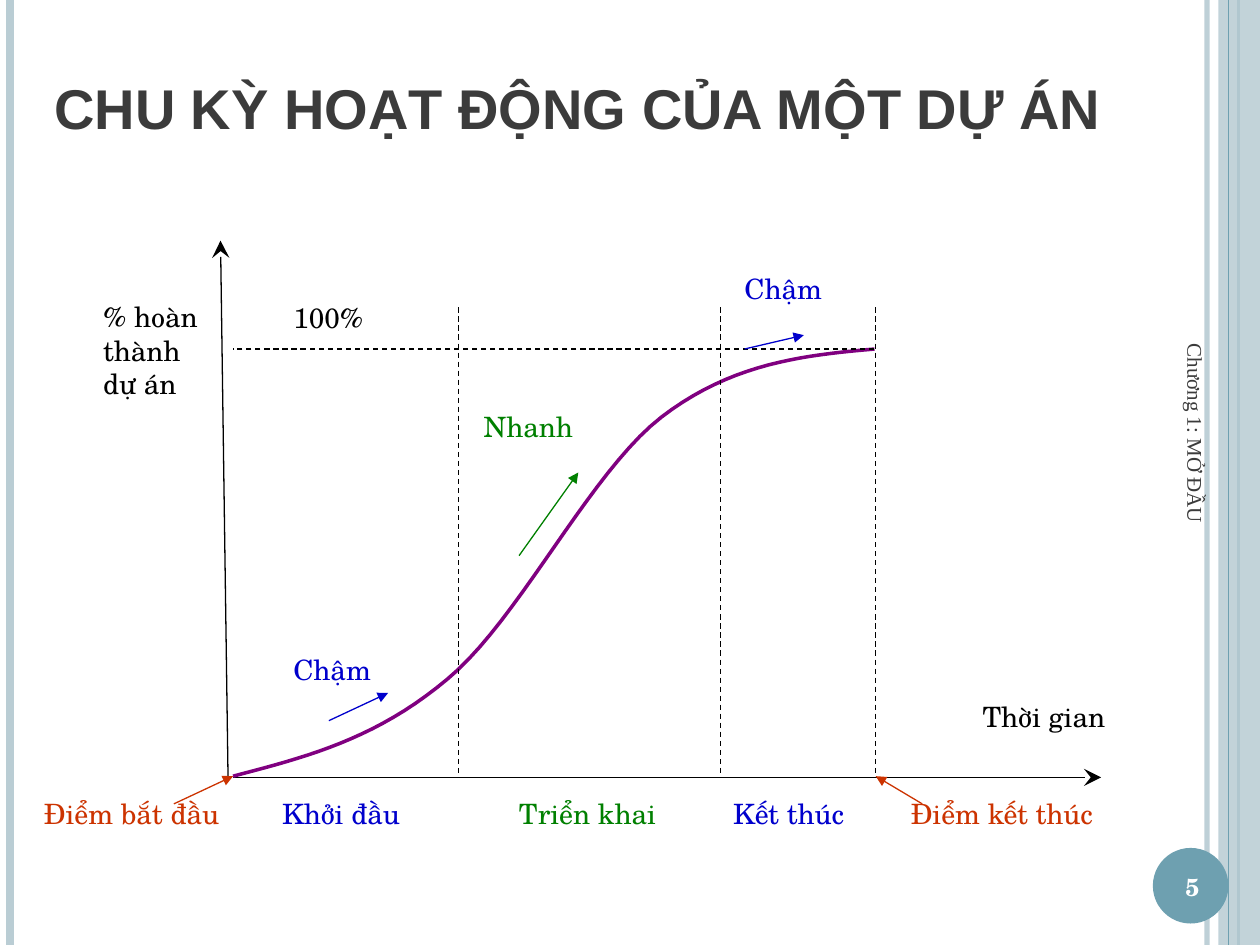
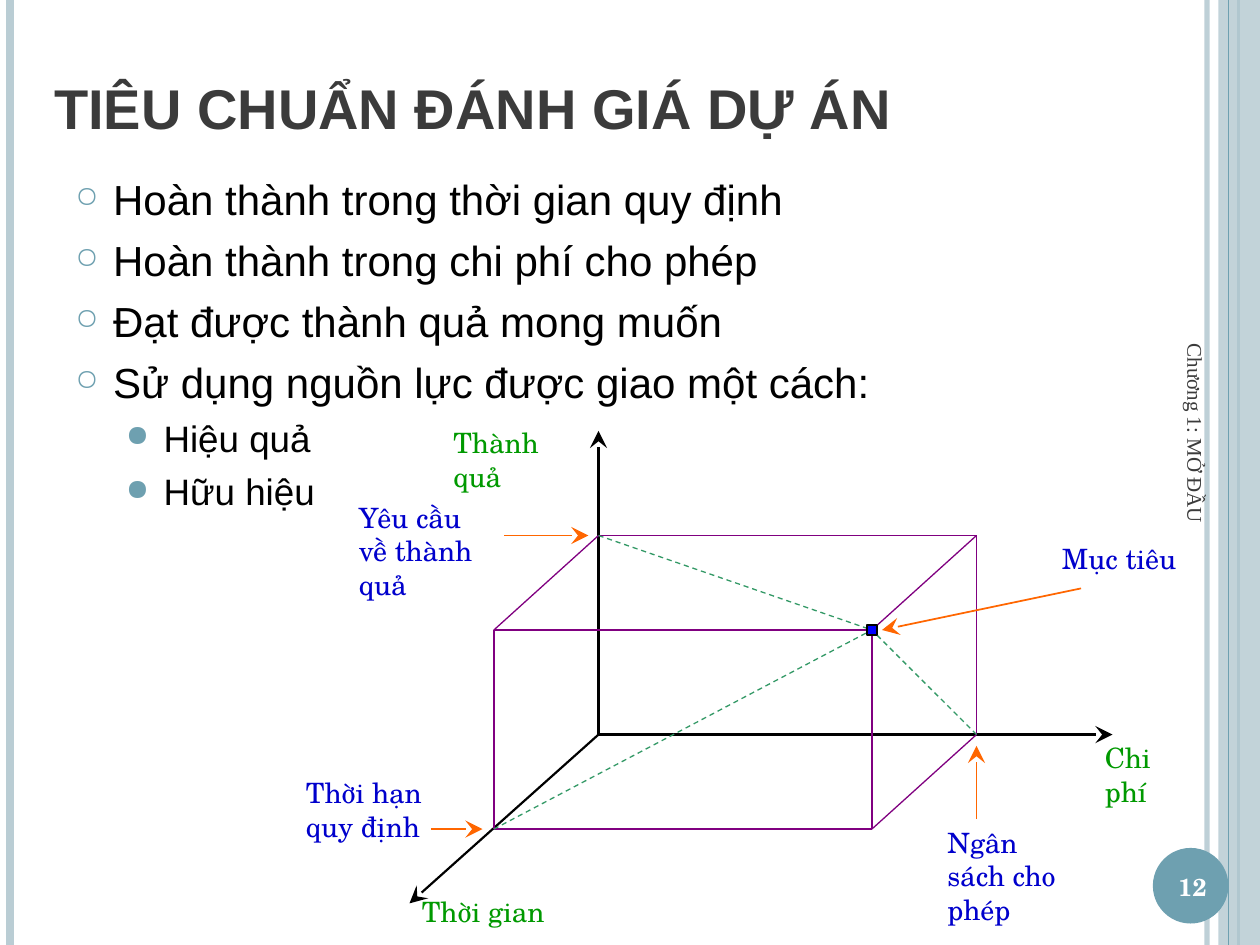
from itertools import combinations, product

from lxml import etree
from pptx import Presentation, util as u
from pptx.dml import color as dml_color
from pptx.enum import dml, shapes, text
from pptx.oxml import ns

TEAL, PALE, DARK = "6EA0B0", "BACDD4", "3B3B3B"
BLACK, WHITE = "000000", "FFFFFF"
BLUE, GREEN, LEAF, RED = "0000CC", "008000", "009900", "CC3300"
PURPLE, SEA, ORANGE = "800080", "339966", "FF6600"
SERIF, SANS, FOOTER_FONT = "TeX Gyre Schola", "Arial", "Times New Roman"
SLIDE_HEIGHT = 7.5
LABEL_HEIGHT = 0.37
CHAPTER = "Chương 1: MỞ ĐẦU"

ORIGIN = (4.75, 5.83)
COST_LENGTH, RESULT_HEIGHT = 3, 1.58
TIME_SHIFT = (-0.83, 0.75)
ARROW_SIZES = {"stealth": "lg", "triangle": "med"}


def rgb(value):
    return dml_color.RGBColor.from_string(value)


def inches(*lengths):
    return [u.Inches(length) for length in lengths]


def add_child(parent, tag, **attributes):
    return etree.SubElement(parent, ns.qn(tag), attributes)


def set_opacity(properties, percent):
    for swatch in properties.iter(ns.qn("a:srgbClr")):
        add_child(swatch, "a:alpha", val=str(percent * 1000))


def write_text(paragraph, content, size=16, color=BLACK, font=SERIF, bold=False, align=None):
    paragraph.alignment = align
    run = paragraph.add_run()
    run.text = content
    run.font.size = u.Pt(size)
    run.font.name = font
    run.font.bold = bold
    run.font.color.rgb = rgb(color)


def add_label(slide, content, left, top, width, height=LABEL_HEIGHT,
              anchor=text.MSO_ANCHOR.TOP, rotation=0, **style):
    label = slide.shapes.add_textbox(*inches(left, top, width, height))
    label.rotation = rotation
    frame = label.text_frame
    frame.word_wrap = True
    frame.vertical_anchor = anchor
    write_text(frame.paragraphs[0], content, **style)


def add_line(slide, start, end, color=BLACK, width=0.75, dashed=False, arrow=None, opacity=None):
    connector = slide.shapes.add_connector(
        shapes.MSO_CONNECTOR.STRAIGHT, *inches(*start, *end))
    connector.line.color.rgb = rgb(color)
    connector.line.width = u.Pt(width)
    properties = connector._element.spPr
    if dashed:
        connector.line.dash_style = dml.MSO_LINE.DASH
    if opacity:
        set_opacity(properties, opacity)
    if arrow:
        size = ARROW_SIZES[arrow]
        add_child(connector.line._get_or_add_ln(), "a:tailEnd", type=arrow, w=size, len=size)
    add_child(properties, "a:effectLst")


def add_solid(slide, preset, left, top, width, height, fill, outline=None, opacity=None):
    solid = slide.shapes.add_shape(preset, *inches(left, top, width, height))
    solid.shadow.inherit = False
    solid.fill.solid()
    solid.fill.fore_color.rgb = rgb(fill)
    if opacity:
        set_opacity(solid._element.spPr, opacity)
    if outline:
        solid.line.color.rgb = rgb(outline)
        solid.line.width = u.Pt(0.75)
    else:
        solid.line.fill.background()


def bezier_points(start, handle_a, handle_b, end, steps=20):
    for step in range(1, steps + 1):
        t = step / steps
        weights = ((1 - t) ** 3, 3 * t * (1 - t) ** 2, 3 * t * t * (1 - t), t ** 3)
        corners = (start, handle_a, handle_b, end)
        yield tuple(sum(w * c[axis] for w, c in zip(weights, corners)) for axis in (0, 1))


def add_curve(slide, knots, color, width):
    points = [inches(*point) for i in range(0, len(knots) - 1, 3)
              for point in bezier_points(*knots[i:i + 4])]
    builder = slide.shapes.build_freeform(*inches(*knots[0]))
    builder.add_line_segments(points, close=False)
    curve = builder.convert_to_shape()
    curve.shadow.inherit = False
    curve.fill.background()
    curve.line.color.rgb = rgb(color)
    curve.line.width = u.Pt(width)


def add_bullets(slide, items, left, top, width, height):
    levels = [dict(indent=0.3, mark="○", mark_size=70, size=24, gap=6),
              dict(indent=0.7, mark="●", mark_size=80, size=21, gap=5.2)]
    frame = slide.shapes.add_textbox(*inches(left, top, width, height)).text_frame
    frame.word_wrap = True
    for index, (level, content) in enumerate(items):
        look = levels[level]
        paragraph = frame.add_paragraph() if index else frame.paragraphs[0]
        paragraph.level = level
        properties = paragraph._p.get_or_add_pPr()
        properties.set("marL", str(u.Inches(look["indent"])))
        properties.set("indent", str(u.Inches(-0.3)))
        add_child(add_child(properties, "a:buClr"), "a:srgbClr", val=TEAL)
        add_child(properties, "a:buSzPct", val=str(look["mark_size"] * 1000))
        add_child(properties, "a:buChar", char=look["mark"])
        if index:
            paragraph.space_before = u.Pt(look["gap"])
        write_text(paragraph, content, size=look["size"], font=SANS)


def add_rule(slide, x, color, width, opacity=None):
    add_line(slide, (x, 0), (x, SLIDE_HEIGHT), color, width, opacity=opacity)


def start_slide(deck, heading, number):
    slide = deck.slides.add_slide(deck.slide_layouts[5])
    add_rule(slide, 9.58, PALE, 3, opacity=93)
    add_rule(slide, 0.08, PALE, 4.5)
    add_rule(slide, 9.83, TEAL, 1.5)
    add_solid(slide, shapes.MSO_SHAPE.RECTANGLE, 9.67, 0, 0.33, SLIDE_HEIGHT, PALE, opacity=87)
    add_rule(slide, 9.75, TEAL, 0.75)
    add_solid(slide, shapes.MSO_SHAPE.OVAL, 9.15, 6.73, 0.6, 0.6, TEAL)

    title = slide.shapes.title
    title.left, title.top, title.width, title.height = inches(0.33, 0.3, 8.67, 0.87)
    frame = title.text_frame
    frame.auto_size = text.MSO_AUTO_SIZE.NONE
    frame.vertical_anchor = text.MSO_ANCHOR.BOTTOM
    write_text(frame.paragraphs[0], heading, size=32, color=DARK, font=SANS,
               bold=True, align=text.PP_ALIGN.LEFT)

    add_label(slide, str(number), 9.13, 6.75, 0.67, 0.57, anchor=text.MSO_ANCHOR.MIDDLE,
              size=14, color=WHITE, bold=True, align=text.PP_ALIGN.CENTER)
    add_label(slide, CHAPTER, 7.74, 4.18, 3.5, 0.4, anchor=text.MSO_ANCHOR.MIDDLE,
              rotation=90, size=12, color=DARK, font=FOOTER_FONT)
    return slide


def build_life_cycle(deck):
    slide = start_slide(deck, "CHU KỲ HOẠT ĐỘNG CỦA MỘT DỰ ÁN", 5)
    add_line(slide, (1.85, 6.17), (8.74, 6.17), arrow="stealth")
    add_line(slide, (1.81, 6.17), (1.75, 1.91), arrow="stealth")
    progress = [(1.85, 6.16), (2.42, 6.01), (2.98, 5.87), (3.55, 5.39),
                (4.12, 4.92), (4.68, 3.75), (5.25, 3.31),
                (5.81, 2.88), (6.38, 2.82), (6.94, 2.77)]
    add_curve(slide, progress, PURPLE, 2)
    for phase_end in (3.64, 5.72, 6.95):
        add_line(slide, (phase_end, 2.44), (phase_end, 6.16), dashed=True)
    add_line(slide, (6.94, 2.77), (1.85, 2.77), dashed=True)

    add_label(slide, "% hoàn thành dự án", 0.72, 2.33, 1.04, 0.9)
    add_label(slide, "100%", 2.23, 2.34, 1.04)
    add_label(slide, "Thời gian", 7.7, 5.5, 1.32)
    phases = [("Điểm bắt đầu", 0.25, 1.7, RED), ("Khởi đầu", 2.14, 1.32, BLUE),
              ("Triển khai", 4.02, 1.32, GREEN), ("Kết thúc", 5.72, 1.32, BLUE),
              ("Điểm kết thúc", 7.13, 1.98, RED)]
    for name, left, width, color in phases:
        add_label(slide, name, left, 6.27, width, color=color)
    paces = [("Chậm", 2.23, 5.13, BLUE), ("Chậm", 5.81, 2.11, BLUE),
             ("Nhanh", 3.74, 3.2, GREEN)]
    for name, left, top, color in paces:
        add_label(slide, name, left, top, 1.04, color=color)
    pointers = [((2.61, 5.72), (3.08, 5.5), BLUE), ((5.91, 2.77), (6.38, 2.66), BLUE),
                ((4.12, 4.41), (4.59, 3.75), GREEN), ((1.38, 6.38), (1.85, 6.16), RED),
                ((7.32, 6.38), (6.95, 6.16), RED)]
    for start, end, color in pointers:
        add_line(slide, start, end, color, arrow="triangle")


def box_corner(cost, result, time):
    return (ORIGIN[0] + cost * COST_LENGTH + time * TIME_SHIFT[0],
            ORIGIN[1] - result * RESULT_HEIGHT + time * TIME_SHIFT[1])


def build_criteria(deck):
    slide = start_slide(deck, "TIÊU CHUẨN ĐÁNH GIÁ DỰ ÁN", 12)
    criteria = [(0, "Hoàn thành trong thời gian quy định"),
                (0, "Hoàn thành trong chi phí cho phép"),
                (0, "Đạt được thành quả mong muốn"),
                (0, "Sử dụng nguồn lực được giao một cách:"),
                (1, "Hiệu quả"), (1, "Hữu hiệu")]
    add_bullets(slide, criteria, 0.5, 1.33, 8.5, 5.58)

    for axis_end in ((8.83, 5.83), (4.75, 3.42), (3.25, 7.17)):
        add_line(slide, ORIGIN, axis_end, width=1.25, arrow="stealth")
    corners = [corner for corner in product((0, 1), repeat=3) if any(corner)]
    for a, b in combinations(corners, 2):
        if sum(p != q for p, q in zip(a, b)) == 1:
            add_line(slide, box_corner(*a), box_corner(*b), PURPLE)
    goal = box_corner(1, 1, 1)
    for limit in corners:
        if sum(limit) == 1:
            add_line(slide, box_corner(*limit), goal, SEA, dashed=True)
    add_solid(slide, shapes.MSO_SHAPE.RECTANGLE, goal[0] - 0.04, goal[1] - 0.04,
              0.08, 0.08, "0000FF", outline=BLACK)

    labels = [("Chi phí", 8.67, 5.83, 0.92, 0.64, LEAF),
              ("Thời gian", 3.25, 7.05, 1.25, LABEL_HEIGHT, LEAF),
              ("Thành quả", 3.5, 3.33, 1.25, 0.64, LEAF),
              ("Thời hạn quy định", 2.33, 6.11, 1.25, 0.64, BLUE),
              ("Yêu cầu về thành quả", 2.75, 3.92, 1.25, 0.9, BLUE),
              ("Mục tiêu", 8.33, 4.25, 1.25, LABEL_HEIGHT, BLUE),
              ("Ngân sách cho phép", 7.42, 6.5, 1.25, 0.9, BLUE)]
    for name, left, top, width, height, color in labels:
        add_label(slide, name, left, top, width, height, color=color)
    pointers = [((4, 4.25), (4.67, 4.25)), ((3.42, 6.58), (3.83, 6.58)),
                ((8.58, 4.67), (7, 5)), ((7.75, 6.5), (7.75, 5.92))]
    for start, end in pointers:
        add_line(slide, start, end, ORANGE, 1, arrow="stealth")


def main():
    deck = Presentation()
    deck.slide_width, deck.slide_height = inches(10, SLIDE_HEIGHT)
    build_life_cycle(deck)
    build_criteria(deck)
    deck.save("out.pptx")


if __name__ == "__main__":
    main()
